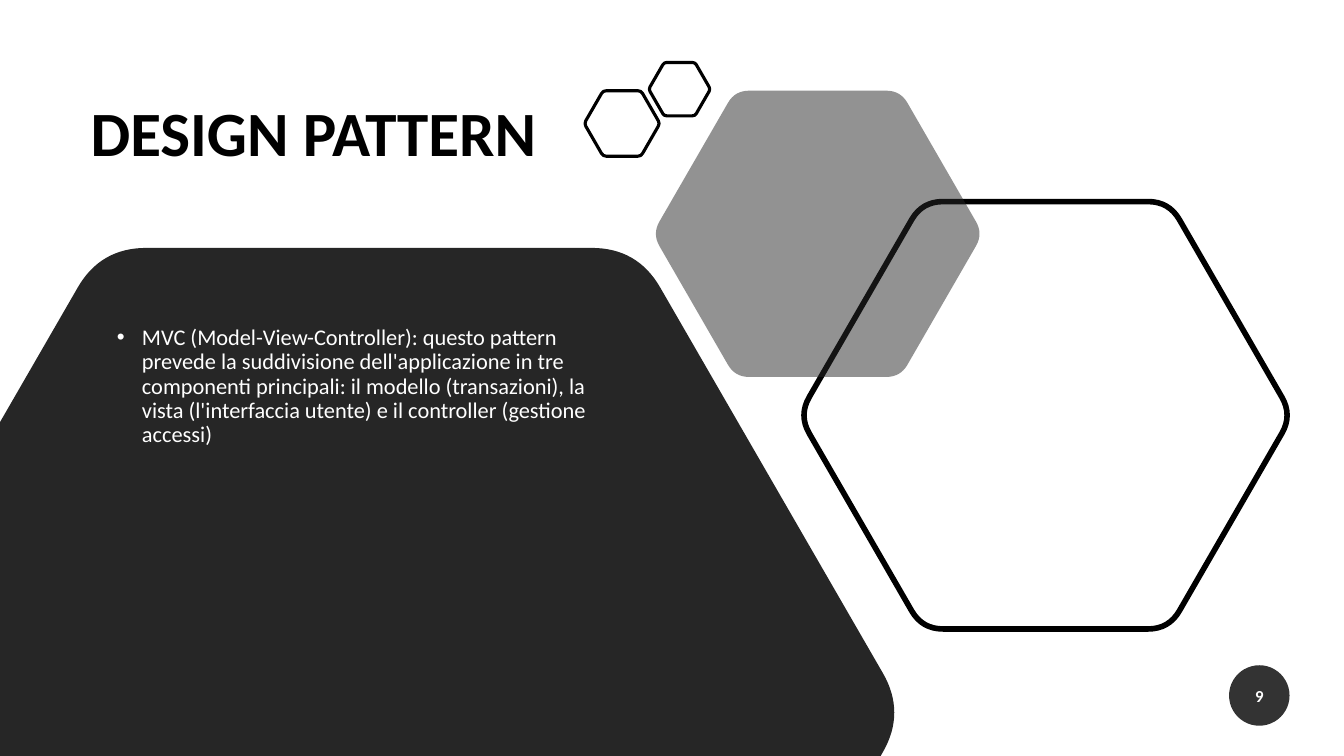
from math import cos, pi, sin, sqrt

from lxml import etree
from pptx import Presentation
from pptx.dml.color import RGBColor
from pptx.enum.shapes import MSO_SHAPE
from pptx.enum.text import MSO_ANCHOR, PP_ALIGN
from pptx.oxml.ns import qn
from pptx.util import Inches, Pt

OVAL = MSO_SHAPE.OVAL
MIDDLE, TOP = MSO_ANCHOR.MIDDLE, MSO_ANCHOR.TOP
CENTER = PP_ALIGN.CENTER

THEME = {
    "font": "Calibri",
    "black": "000000",
    "dark": "262626",
    "white": "FFFFFF",
    "title": 45,
    "body": 16,
    "number": 12,
}
WIDTH, HEIGHT = 13.33, 7.5
CORNER_RATIO = 0.085

TITLE = "DESIGN PATTERN"
BODY = (
    "MVC (Model-View-Controller): questo pattern prevede la suddivisione "
    "dell'applicazione in tre componenti principali: il modello (transazioni), "
    "la vista (l'interfaccia utente) e il controller (gestione accessi)"
)
PAGE_NUMBER = "9"

HEXAGONS = [
    {"center": (3.66, 7.07), "height": 9.22, "fill": "dark"},
    {"center": (10.37, 4.12), "height": 4.24, "line": 4},
    {"center": (8.11, 2.32), "height": 2.84, "fill": "dark", "opacity": 50},
    {"center": (6.17, 1.225), "height": 0.65, "line": 2.25},
    {"center": (6.74, 0.885), "height": 0.53, "line": 2.25},
]


def color(name):
    return RGBColor.from_string(THEME[name])


def between(start, end, share):
    return tuple(a + (b - a) * share for a, b in zip(start, end))


def rounded_hexagon(center, radius):
    corners = [
        (center[0] + radius * cos(i * pi / 3), center[1] + radius * sin(i * pi / 3))
        for i in range(6)
    ]
    points, curves = [], {}
    for i, corner in enumerate(corners):
        entry = between(corner, corners[i - 1], CORNER_RATIO)
        leave = between(corner, corners[(i + 1) % 6], CORNER_RATIO)
        points += [entry, leave]
        curves[leave] = [between(entry, corner, 2 / 3), between(leave, corner, 2 / 3)]
    return points, curves


def clip(points, axis, limit, sign):
    kept = []
    for start, end in zip(points, points[1:] + points[:1]):
        start_gap = sign * (limit - start[axis])
        end_gap = sign * (limit - end[axis])
        if start_gap >= 0:
            kept.append(start)
        if start_gap * end_gap < 0:
            kept.append(between(start, end, start_gap / (start_gap - end_gap)))
    return kept


def draw_outline(shape, points, curves, left, top):
    outline = shape._element.spPr.find(".//" + qn("a:path"))
    for command in list(outline):
        outline.remove(command)

    def add_command(tag, stops):
        command = etree.SubElement(outline, qn(tag))
        for x, y in stops:
            stop = etree.SubElement(command, qn("a:pt"))
            stop.set("x", str(Inches(x - left)))
            stop.set("y", str(Inches(y - top)))

    add_command("a:moveTo", points[:1])
    for point in points[1:]:
        if point in curves:
            add_command("a:cubicBezTo", curves[point] + [point])
        else:
            add_command("a:lnTo", [point])
    add_command("a:close", [])


def set_fill(shape, name, opacity=100):
    shape.fill.solid()
    shape.fill.fore_color.rgb = color(name)
    if opacity < 100:
        rgb = shape.fill._xPr.find(qn("a:solidFill")).find(qn("a:srgbClr"))
        etree.SubElement(rgb, qn("a:alpha")).set("val", str(opacity * 1000))


def add_hexagon(slide, center, height, fill=None, opacity=100, line=None):
    radius = height / sqrt(3)
    reach = radius * (1 - CORNER_RATIO / 4)
    left, right = max(0, center[0] - reach), center[0] + reach
    top, bottom = center[1] - height / 2, min(HEIGHT, center[1] + height / 2)
    box = [
        (Inches(x), Inches(y))
        for x, y in ((left, top), (right, top), (right, bottom), (left, bottom))
    ]
    builder = slide.shapes.build_freeform(*box[0])
    builder.add_line_segments(box[1:], close=True)
    shape = builder.convert_to_shape()
    points, curves = rounded_hexagon(center, radius)
    points = clip(clip(points, 0, 0, -1), 1, HEIGHT, 1)
    draw_outline(shape, points, curves, left, top)
    shape.shadow.inherit = False
    if fill:
        set_fill(shape, fill, opacity)
    else:
        shape.fill.background()
    if line:
        shape.line.color.rgb = color("black")
        shape.line.width = Pt(line)
    else:
        shape.line.fill.background()


def write(shape, text, size, color_name, bold=False, anchor=TOP):
    frame = shape.text_frame
    frame.word_wrap = True
    frame.vertical_anchor = anchor
    frame.text = text
    paragraph = frame.paragraphs[0]
    font = paragraph.runs[0].font
    font.name = THEME["font"]
    font.size = Pt(THEME[size])
    font.bold = bold
    font.color.rgb = color(color_name)
    return paragraph


def add_text(slide, box, *args, **options):
    shape = slide.shapes.add_textbox(*map(Inches, box))
    paragraph = write(shape, *args, **options)
    paragraph.line_spacing = 0.9
    return paragraph


def add_bullet(paragraph, indent):
    properties = paragraph._p.get_or_add_pPr()
    properties.set("marL", str(Inches(indent)))
    properties.set("indent", str(-Inches(indent)))
    etree.SubElement(properties, qn("a:buFont")).set("typeface", "Arial")
    etree.SubElement(properties, qn("a:buChar")).set("char", "•")


def add_page_number(slide):
    badge = slide.shapes.add_shape(OVAL, *map(Inches, (12.19, 6.6, 0.6, 0.6)))
    badge.shadow.inherit = False
    set_fill(badge, "black", 80)
    badge.line.fill.background()
    frame = badge.text_frame
    frame.margin_left = frame.margin_right = 0
    frame.margin_top = frame.margin_bottom = 0
    paragraph = write(badge, PAGE_NUMBER, "number", "white", bold=True, anchor=MIDDLE)
    paragraph.alignment = CENTER
    paragraph.space_after = Pt(6)


def main():
    presentation = Presentation()
    presentation.slide_width = Inches(WIDTH)
    presentation.slide_height = Inches(HEIGHT)
    slide = presentation.slides.add_slide(presentation.slide_layouts[6])
    add_text(slide, (0.8, 0.45, 5.86, 1.8), TITLE, "title", "black", bold=True, anchor=MIDDLE)
    for hexagon in HEXAGONS:
        add_hexagon(slide, **hexagon)
    paragraph = add_text(slide, (1.06, 3.19, 5.19, 1.84), BODY, "body", "white")
    paragraph.space_before = Pt(10)
    add_bullet(paragraph, 0.25)
    add_page_number(slide)
    presentation.save("out.pptx")


if __name__ == "__main__":
    main()
